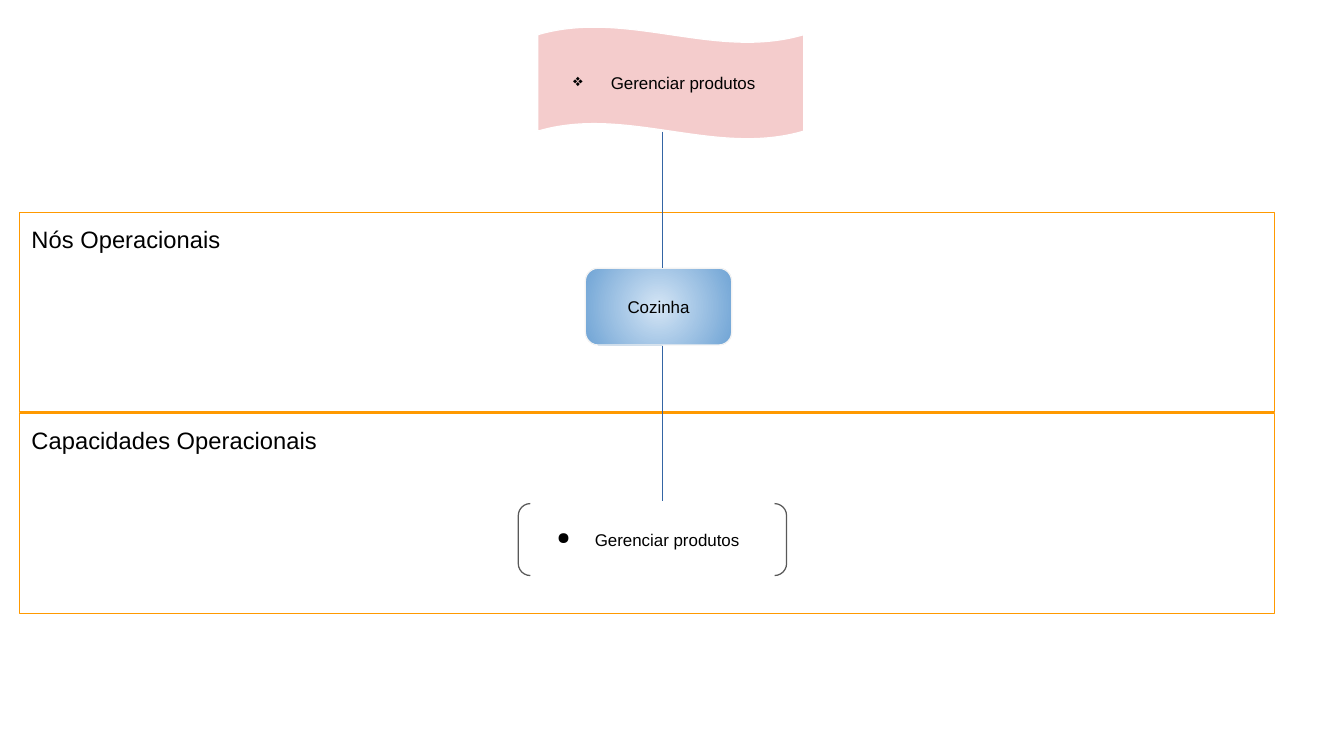
import pptx
import pptx.util
import pptx.dml.color
import pptx.enum.shapes
import pptx.enum.text
import pptx.oxml
import pptx.oxml.ns
import lxml.etree

Inches = pptx.util.Inches
RGBColor = pptx.dml.color.RGBColor
SHAPE = pptx.enum.shapes.MSO_SHAPE
ANCHOR = pptx.enum.text.MSO_ANCHOR
ALIGN = pptx.enum.text.PP_ALIGN
qn = pptx.oxml.ns.qn

BLACK = RGBColor(0x00, 0x00, 0x00)
WHITE = RGBColor(0xFF, 0xFF, 0xFF)
ORANGE = RGBColor(0xFF, 0x99, 0x00)
PINK = RGBColor(0xF4, 0xCC, 0xCC)
PALE_BLUE = RGBColor(0xD4, 0xE5, 0xF5)
MID_BLUE = RGBColor(0x70, 0xA4, 0xD5)
PALE_GRAY = RGBColor(0xF3, 0xF3, 0xF3)
DARK_GRAY = RGBColor(0x59, 0x59, 0x59)
LINK_BLUE = RGBColor(0x34, 0x65, 0xA4)
LINE_WIDTH = pptx.util.Pt(0.74)

LANES = ["Nós Operacionais", "Capacidades Operacionais"]
LANE_LEFT, LANE_TOP, LANE_WIDTH, LANE_HEIGHT, LANE_STEP = 0.16, 1.74, 10.29, 1.64, 1.65
NODES = [
    dict(text="Gerenciar produtos", kind=SHAPE.WAVE, box=(4.41, 0.22, 2.18, 0.92),
         adjustment=0.07, fill=PINK, line=WHITE, bullet="❖"),
    dict(text="Cozinha", kind=SHAPE.ROUNDED_RECTANGLE, box=(4.8, 2.2, 1.2, 0.63),
         adjustment=0.167, gradient=(PALE_BLUE, MID_BLUE), line=PALE_GRAY, align=ALIGN.CENTER),
    dict(text="Gerenciar produtos", kind=SHAPE.DOUBLE_BRACKET, box=(4.25, 4.13, 2.2, 0.59),
         adjustment=0.167, line=DARK_GRAY, bullet="●"),
]
LINK_X = 5.43
LINKS = [(1.08, 2.2), (2.84, 4.11)]


def add_bullet(paragraph, character):
    properties = paragraph._p.get_or_add_pPr()
    properties.set("marL", str(Inches(0.5)))
    properties.set("indent", str(Inches(-0.31)))
    color = lxml.etree.SubElement(properties, qn("a:buClr"))
    lxml.etree.SubElement(color, qn("a:srgbClr"), val=str(BLACK))
    lxml.etree.SubElement(properties, qn("a:buChar"), char=character)


def fill_radially(shape, colors):
    shape.fill.gradient()
    for stop, color, position in zip(shape.fill.gradient_stops, colors, (0, 1)):
        stop.color.rgb = color
        stop.position = position
    gradient = shape._element.spPr.find(qn("a:gradFill"))
    gradient.remove(gradient.find(qn("a:lin")))
    center = lxml.etree.SubElement(gradient, qn("a:path"), path="circle")
    lxml.etree.SubElement(center, qn("a:fillToRect"), l="50000", t="50000", r="50000", b="50000")


def add_text_shape(text, *, kind, box, line, adjustment=None, fill=None, gradient=None,
                   bullet=None, size=10, align=ALIGN.LEFT, anchor=ANCHOR.MIDDLE):
    shape = slide.shapes.add_shape(kind, *map(Inches, box))
    shape.shadow.inherit = False
    if adjustment is not None:
        shape.adjustments[0] = adjustment
    if gradient:
        fill_radially(shape, gradient)
    elif fill is not None:
        shape.fill.solid()
        shape.fill.fore_color.rgb = fill
    else:
        shape.fill.background()
    shape.line.color.rgb = line
    shape.line.width = LINE_WIDTH
    frame = shape.text_frame
    frame.word_wrap = True
    frame.vertical_anchor = anchor
    frame.margin_left = frame.margin_right = frame.margin_top = frame.margin_bottom = Inches(0.1)
    paragraph = frame.paragraphs[0]
    paragraph.alignment = align
    if bullet:
        add_bullet(paragraph, bullet)
    run = paragraph.add_run()
    run.text = text
    run.font.name = "Arial"
    run.font.size = pptx.util.Pt(size)
    run.font.color.rgb = BLACK


def add_link(top, bottom):
    connector = slide.shapes.add_connector(
        pptx.enum.shapes.MSO_CONNECTOR.STRAIGHT,
        Inches(LINK_X), Inches(top), Inches(LINK_X), Inches(bottom))
    connector.line.color.rgb = LINK_BLUE
    connector.line.width = LINE_WIDTH
    lxml.etree.SubElement(connector._element.spPr, qn("a:effectLst"))


presentation = pptx.Presentation()
presentation.slide_width = Inches(11.02)
presentation.slide_height = Inches(6.2)
slide = presentation.slides.add_slide(presentation.slide_layouts[6])

for index, title in enumerate(LANES):
    add_text_shape(title, kind=SHAPE.RECTANGLE, line=ORANGE, size=14, anchor=ANCHOR.TOP,
                   box=(LANE_LEFT, LANE_TOP + index * LANE_STEP, LANE_WIDTH, LANE_HEIGHT))
for node in NODES:
    add_text_shape(**node)
for top, bottom in LINKS:
    add_link(top, bottom)

presentation.save("out.pptx")
